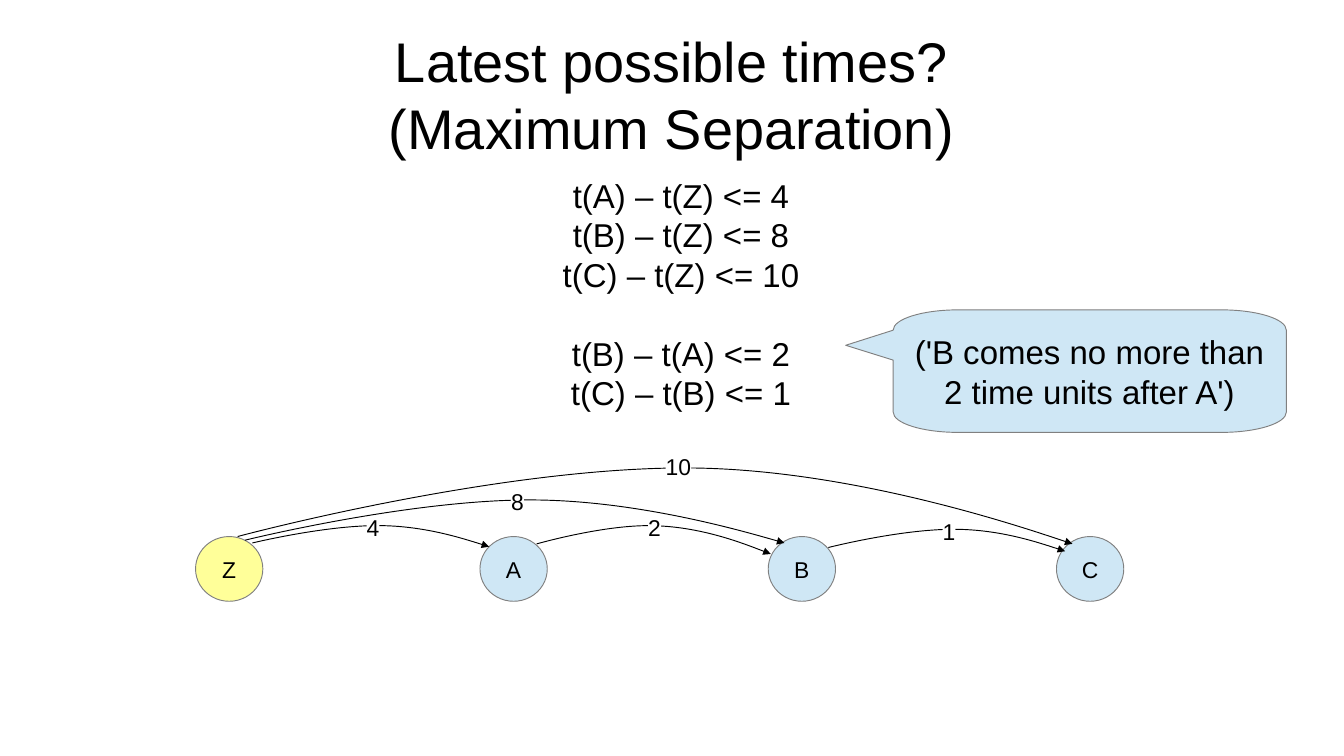
from dataclasses import dataclass

from lxml.etree import SubElement
from pptx import Presentation
from pptx.dml.color import RGBColor
from pptx.enum.shapes import MSO_SHAPE as Preset
from pptx.enum.text import MSO_ANCHOR as Anchor, MSO_AUTO_SIZE as AutoSize, PP_ALIGN as Align
from pptx.oxml import parse_xml
from pptx.oxml.ns import nsdecls, qn
from pptx.util import Pt

Point = tuple[float, float]
Segment = list[Point]  # one point for a line, two handles and an end for a curve
BLACK, WHITE, GREY, BLUE, YELLOW = "000000", "FFFFFF", "808080", "CFE7F5", "FFFF99"


@dataclass
class Event:
    name: str
    left: float
    fill: str = BLUE


@dataclass
class Separation:
    """A labelled arc from one event to a later one."""
    label: str
    label_at: Point
    start: Point
    apex: Point
    end: Point


EVENTS = [Event("Z", 154, YELLOW)] + [Event(name, 378 + 227 * i) for i, name in enumerate("ABC")]
SEPARATIONS = [
    Separation("4", (288.7, 405.4), (198.7, 427.7), (297.4, 414), (385.2, 430.6)),
    Separation("10", (524.2, 357.1), (187.2, 422.6), (539.3, 368.6), (844.6, 428.4)),
    Separation("8", (402.5, 385.2), (193, 425.5), (417.6, 393.8), (617.8, 427.7)),
    Separation("2", (510.5, 405.4), (422.6, 428.4), (510.5, 414), (607, 436.3)),
    Separation("1", (742.3, 408.2), (652.3, 431.3), (751, 416.9), (838.8, 434.2)),
]
FROM_ORIGIN = ["t(A) – t(Z) <= 4", "t(B) – t(Z) <= 8", "t(C) – t(Z) <= 10"]
BETWEEN_EVENTS = ["t(B) – t(A) <= 2", "t(C) – t(B) <= 1"]

prs = Presentation()
prs.slide_width, prs.slide_height = Pt(1058.4), Pt(595.44)
slide = prs.slides.add_slide(prs.slide_layouts[5])
shapes = slide.shapes


def paint(target, colour: str) -> None:
    """Give a fill, line or font one solid colour."""
    if hasattr(target, "solid"):
        target.solid()
        target.fore_color.rgb = RGBColor.from_string(colour)
    elif hasattr(target, "dash_style"):
        paint(target.fill, colour)
    else:
        target.color.rgb = RGBColor.from_string(colour)


def outline(shape, colour: str) -> None:
    paint(shape.line, colour)
    shape.line.width = Pt(0)
    shape.shadow.inherit = False


def write(shape, text: str, size: float, wrap: bool = True, align: Align = Align.CENTER) -> None:
    frame = shape.text_frame
    frame.text = text
    frame.word_wrap = wrap
    frame.auto_size = AutoSize.NONE
    frame.vertical_anchor = Anchor.MIDDLE
    frame.margin_left = frame.margin_top = frame.margin_right = frame.margin_bottom = Pt(0)
    for paragraph in frame.paragraphs:
        paragraph.alignment = align
        paragraph.font.name, paragraph.font.size = "Arial", Pt(size)
        paint(paragraph.font, BLACK)


def trace(start: Point, segments: list[Segment], close: bool):
    """Draw an outline of straight and curved segments."""
    builder = shapes.build_freeform(Pt(start[0]), Pt(start[1]), scale=1.0)
    builder.add_line_segments([(Pt(x), Pt(y)) for *_, (x, y) in segments], close=close)
    shape = builder.convert_to_shape()
    lines = list(shape._element.iter(qn("a:lnTo")))
    for line, segment in zip(lines, segments):
        if len(segment) == 3:
            points = "".join(f'<a:pt x="{Pt(x) - shape.left}" y="{Pt(y) - shape.top}"/>'
                             for x, y in segment)
            curve = parse_xml(f'<a:cubicBezTo {nsdecls("a")}>{points}</a:cubicBezTo>')
            line.getparent().replace(line, curve)
    return shape


def round_corner(start: Point, corner: Point, end: Point) -> Segment:
    """Quarter ellipse that bends towards the corner."""
    handles = [(x + 0.55 * (corner[0] - x), y + 0.55 * (corner[1] - y)) for x, y in (start, end)]
    return [*handles, end]


def draw_event(event: Event) -> None:
    circle = shapes.add_shape(Preset.OVAL, Pt(event.left), Pt(422.6), Pt(53), Pt(51))
    paint(circle.fill, event.fill)
    outline(circle, GREY)
    write(circle, event.name, 18, wrap=False)


def draw_arrow(separation: Separation) -> None:
    start, apex, end = separation.start, separation.apex, separation.end
    rise_handle, fall_handle = [(apex[0] + 0.43 * (foot[0] - apex[0]), apex[1])
                                for foot in (start, end)]
    arrow = trace(start, [[start, rise_handle, apex], [fall_handle, end, end]], close=False)
    arrow.fill.background()
    outline(arrow, BLACK)
    SubElement(arrow.line._get_or_add_ln(), qn("a:tailEnd"), type="triangle")


def draw_label(separation: Separation) -> None:
    left, top = separation.label_at
    label = shapes.add_shape(Preset.RECTANGLE, Pt(left), Pt(top),
                             Pt(10 * len(separation.label)), Pt(20))
    paint(label.fill, WHITE)
    label.line.fill.background()
    label.shadow.inherit = False
    write(label, separation.label, 18, wrap=False, align=Align.LEFT)


def draw_callout(left: float, top: float, right: float, bottom: float, text: str) -> None:
    corner_x, corner_y, tip = 51, 16, (666, 272)
    inner_left, inner_right = left + corner_x, right - corner_x
    inner_top, inner_bottom = top + corner_y, bottom - corner_y
    callout = trace((inner_left, top), [
        round_corner((inner_left, top), (left, top), (left, inner_top)),
        [tip],
        [(left, 283.7)],
        [(left, inner_bottom)],
        round_corner((left, inner_bottom), (left, bottom), (inner_left, bottom)),
        [(inner_right, bottom)],
        round_corner((inner_right, bottom), (right, bottom), (right, inner_bottom)),
        [(right, inner_top)],
        round_corner((right, inner_top), (right, top), (inner_right, top)),
    ], close=True)
    paint(callout.fill, BLUE)
    outline(callout, GREY)
    write(callout, text, 26)
    padding = 14
    callout.text_frame.margin_left = Pt(left - tip[0] + padding)
    callout.text_frame.margin_right = Pt(padding)


# Title
title = shapes.title
title.left, title.top, title.width, title.height = Pt(52.6), Pt(20.9), Pt(952.6), Pt(105.8)
write(title, "Latest possible times?\v(Maximum Separation)", 44)

# Event graph
for event in EVENTS:
    draw_event(event)
for separation in SEPARATIONS:
    draw_arrow(separation)
    draw_label(separation)

# Constraints, in two groups
constraints = shapes.add_textbox(Pt(203.8), Pt(123.1), Pt(665.3), Pt(216.7))
write(constraints, "\n".join(FROM_ORIGIN + BETWEEN_EVENTS), 26, wrap=False)
constraints.text_frame.paragraphs[len(FROM_ORIGIN)].space_before = Pt(31)

# Explanation of one constraint
draw_callout(703.4, 244.1, 1013, 340.6, "('B comes no more than 2 time units after A')")

prs.save("out.pptx")
